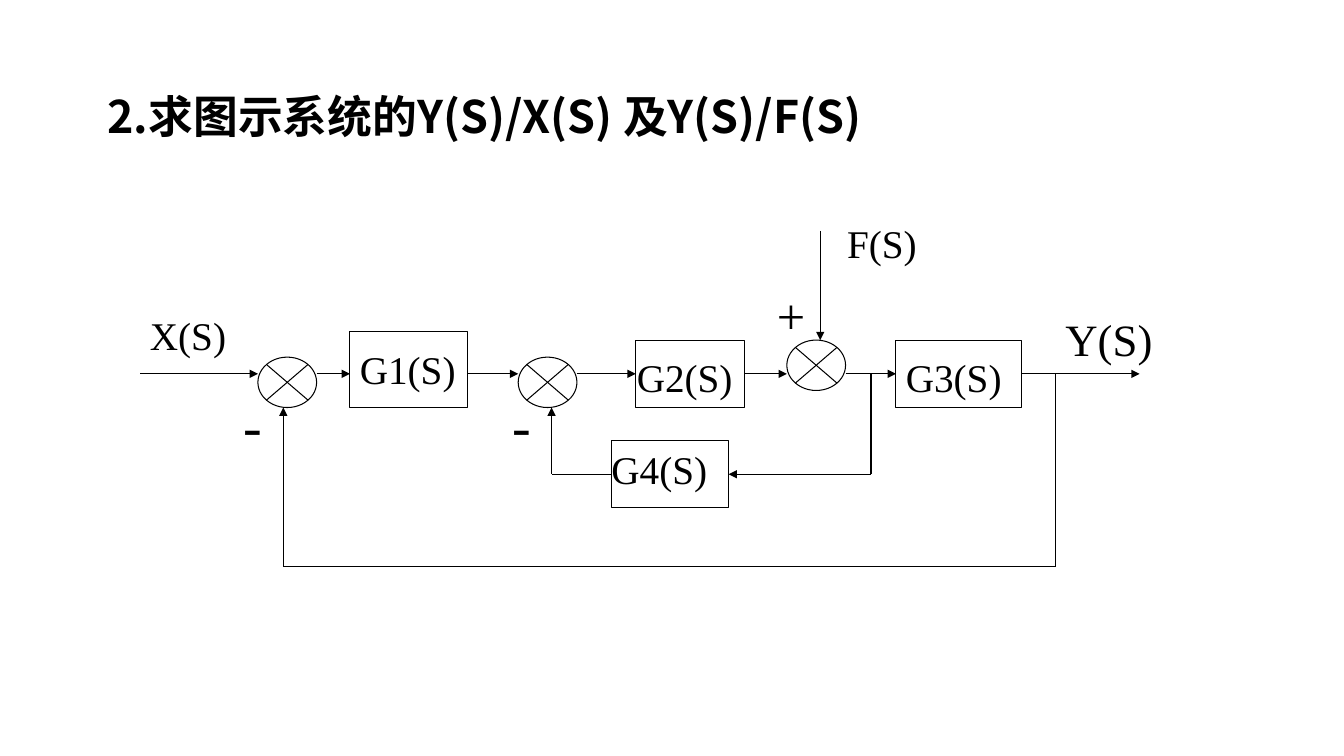
from lxml import etree
from pptx import Presentation
from pptx import util as u
from pptx.dml.color import RGBColor
from pptx.enum import shapes, text
from pptx.oxml.ns import qn

COLORS = {"ink": "000000"}
LATIN = "Times New Roman"
CJK = "Noto Sans CJK SC"
INK = RGBColor.from_string(COLORS["ink"])

AXIS = 9.42            # height of the forward path
INNER = 11.95          # height of the inner feedback path
OUTER = 14.27          # height of the outer feedback path
TAKEOFF_INNER, TAKEOFF_OUTER = 21.95, 26.6
RETURN_INNER, RETURN_OUTER = 13.9, 7.14
JUNCTION_BOTTOM = 10.27
LEFT, RIGHT = 1, 3     # connection sites of a rectangle


def add_label(slide, words, left, top, width, height=1.45, size=28,
              font=LATIN, bold=False, sign=False):
    box = slide.shapes.add_textbox(u.Cm(left), u.Cm(top), u.Cm(width), u.Cm(height))
    frame = box.text_frame
    frame.word_wrap = not sign
    paragraph = frame.paragraphs[0]
    paragraph.text = words
    if sign:
        frame.vertical_anchor = text.MSO_ANCHOR.MIDDLE
        paragraph.alignment = text.PP_ALIGN.CENTER
    else:
        frame.auto_size = text.MSO_AUTO_SIZE.SHAPE_TO_FIT_TEXT
    paragraph.font.size = u.Pt(size)
    paragraph.font.bold = bold
    paragraph.font.name = font
    paragraph.font.color.rgb = INK
    properties = paragraph._p.pPr.find(qn("a:defRPr"))
    etree.SubElement(properties, qn("a:ea"), typeface=font)


def add_outline(slide, kind, left, top, width, height):
    shape = slide.shapes.add_shape(kind, u.Cm(left), u.Cm(top), u.Cm(width), u.Cm(height))
    shape.shadow.inherit = False
    shape.fill.background()
    shape.line.color.rgb = INK
    shape.line.width = u.Pt(0.75)
    return shape


def add_line(slide, start, end, arrow=True, source=None, target=None):
    """Draw a line; source and target are (block, site) pairs to join."""
    line = slide.shapes.add_connector(
        shapes.MSO_CONNECTOR.STRAIGHT, *(u.Cm(value) for value in start + end))
    line.line.color.rgb = INK
    line.line.width = u.Pt(0.75)
    if arrow:
        etree.SubElement(line.line._get_or_add_ln(), qn("a:tailEnd"), type="triangle")
    etree.SubElement(line._element.spPr, qn("a:effectLst"))
    if source:
        line.begin_connect(*source)
    if target:
        line.end_connect(*target)


def main():
    presentation = Presentation()
    presentation.slide_width = u.Cm(33.87)
    presentation.slide_height = u.Cm(19.05)
    slide = presentation.slides.add_slide(presentation.slide_layouts[6])

    # Title
    add_label(slide, "2.求图示系统的Y(S)/X(S) 及Y(S)/F(S)", 2.46, 2.1, 25.4, 1.6,
              size=32, font=CJK, bold=True)

    # Transfer blocks
    rectangle = shapes.MSO_SHAPE.RECTANGLE
    g1, g2, g3, g4 = [
        add_outline(slide, rectangle, *place) for place in (
            (8.82, 8.36, 2.97, 1.9), (16.02, 8.57, 2.75, 1.7),
            (22.58, 8.57, 3.17, 1.7), (15.4, 11.1, 2.96, 1.7))]

    # Forward path
    for start, end, source, target in (
            (3.53, 6.5, None, None), (7.98, 8.82, None, None),
            (11.79, 13.06, None, None), (14.53, 16.02, None, (g2, LEFT)),
            (18.77, 19.83, (g2, RIGHT), None), (21.31, 22.58, None, (g3, LEFT)),
            (25.75, 28.72, (g3, RIGHT), None)):
        add_line(slide, (start, AXIS), (end, AXIS), source=source, target=target)

    # Inner feedback through G4
    add_line(slide, (TAKEOFF_INNER, AXIS), (TAKEOFF_INNER, INNER), arrow=False)
    add_line(slide, (TAKEOFF_INNER, INNER), (18.36, INNER), target=(g4, RIGHT))
    add_line(slide, (15.4, INNER), (RETURN_INNER, INNER), arrow=False, source=(g4, LEFT))
    add_line(slide, (RETURN_INNER, INNER), (RETURN_INNER, JUNCTION_BOTTOM))

    # Outer feedback
    add_line(slide, (TAKEOFF_OUTER, AXIS), (TAKEOFF_OUTER, OUTER), arrow=False)
    add_line(slide, (TAKEOFF_OUTER, OUTER), (RETURN_OUTER, OUTER), arrow=False)
    add_line(slide, (RETURN_OUTER, OUTER), (RETURN_OUTER, JUNCTION_BOTTOM))

    # Disturbance input
    add_line(slide, (20.67, 5.82), (20.67, 8.57))

    # Summing junctions
    for left, top in ((6.5, 9.0), (13.06, 9.0), (19.83, 8.57)):
        add_outline(slide, shapes.MSO_SHAPE.FLOWCHART_SUMMING_JUNCTION,
                    left, top, 1.48, 1.27)

    # Signal and block names
    for words, left, top, width in (
            ("X(S)", 3.53, 7.72, 25.4), ("F(S)", 21.1, 5.39, 5.72),
            ("G1(S)", 8.82, 8.57, 3.6), ("G2(S)", 15.8, 8.78, 3.6),
            ("G3(S)", 22.58, 8.78, 4.02), ("G4(S)", 15.16, 11.1, 4.23)):
        add_label(slide, words, left, top, width)
    add_label(slide, "Y(S)", 26.6, 7.72, 3.18, 1.6, size=32)

    # Signs
    for words, left, top, size in (
            ("-", 12.42, 10.06, 40), ("-", 5.64, 10.06, 40), ("+", 19.2, 7.29, 36)):
        add_label(slide, words, left, top, 1.48, 1.27, size, sign=True)

    presentation.save("out.pptx")


if __name__ == "__main__":
    main()
